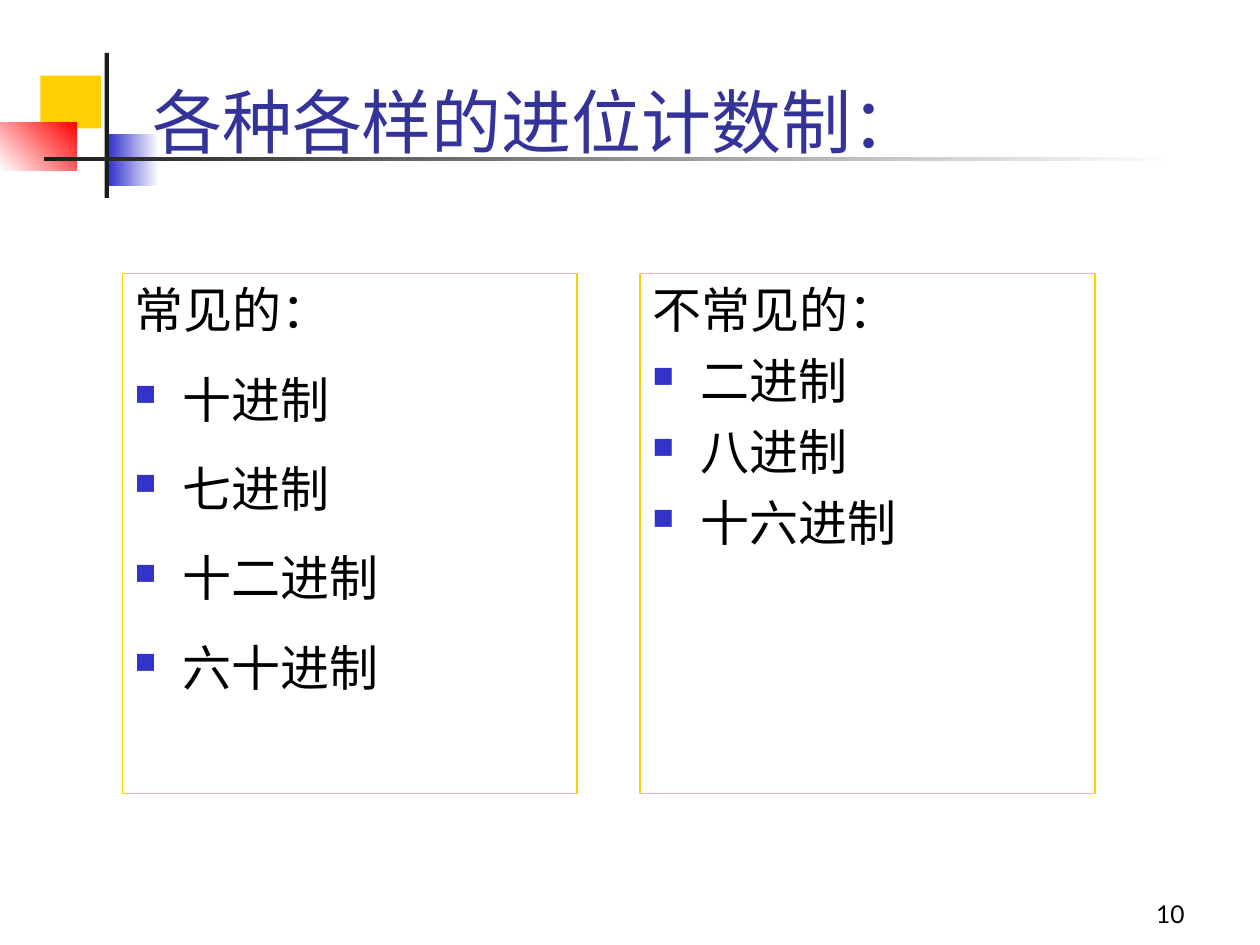
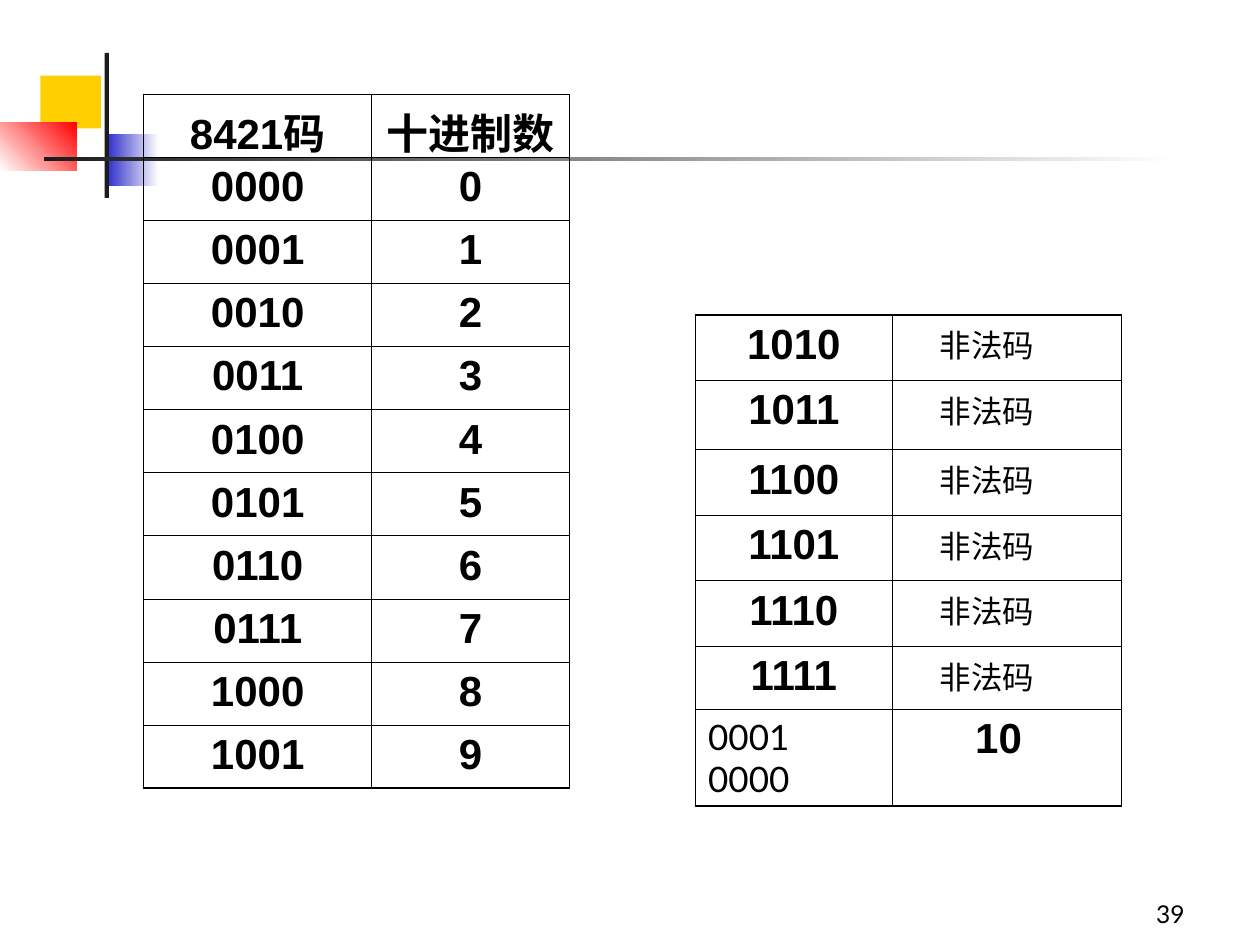
"""Build two slides on positional numeral systems and the 8421 code."""
from dataclasses import dataclass
from typing import NamedTuple, Optional

from lxml.etree import SubElement
from pptx import Presentation
from pptx.dml.color import RGBColor
from pptx.enum.shapes import MSO_SHAPE
from pptx.enum.text import MSO_ANCHOR, PP_ALIGN
from pptx.oxml.ns import qn
from pptx.util import Inches, Pt

CELL = 0.1
COLUMNS, ROWS = 100, 75


@dataclass(frozen=True)
class Theme:
    """Colours, fonts and sizes shared by the slides."""

    ink: str = "000000"
    title: str = "333399"
    gold: str = "FFCF01"
    blue: str = "3333CC"
    red: str = "FF0000"
    white: str = "FFFFFF"
    charcoal: str = "1C1C1C"
    body_font: str = "Lato"
    code_font: str = "Arial"
    title_size: float = 40
    list_size: float = 28
    code_size: float = 24
    pair_size: float = 20
    note_size: float = 18
    number_size: float = 14
    box_line: float = 0.75
    outer_line: float = 1.08
    inner_line: float = 0.45


THEME = Theme()


class Area(NamedTuple):
    """A place on the grid, in columns and rows."""

    left: float
    top: float
    width: float
    height: float


class Ornament(NamedTuple):
    """A rectangle of the header motif, plain or with a gradient."""

    area: Area
    color: str
    end_color: Optional[str] = None
    angle: float = 0


class TextStyle(NamedTuple):
    """Type and paragraph settings."""

    size: float
    font: str = THEME.body_font
    color: str = THEME.ink
    bold: bool = False
    align: PP_ALIGN = PP_ALIGN.LEFT
    space_before: float = 0
    indent: float = 0


class ListBox(NamedTuple):
    """A framed list with a heading."""

    area: Area
    heading: str
    items: tuple[str, ...]
    space_before: float


class CodeCell(NamedTuple):
    """The text of a table cell and its style."""

    text: str
    style: TextStyle


class CodeTable(NamedTuple):
    """A table placed on the grid."""

    left: float
    top: float
    columns: tuple[float, ...]
    heights: tuple[float, ...]
    rows: list[tuple[CodeCell, CodeCell]]


ORNAMENTS = (
    Ornament(Area(3.2, 6, 4.8, 4.2), THEME.gold),
    Ornament(Area(8.6, 10.6, 4, 4.2), THEME.blue, THEME.white),
    Ornament(Area(0, 9.7, 6.1, 3.8), THEME.white, THEME.red, 45),
    Ornament(Area(8.3, 4.2, 0.35, 11.5), THEME.charcoal),
    Ornament(Area(3.5, 12.45, 90, 0.35), THEME.charcoal, THEME.white),
)
TITLE_AREA = Area(11.1, 4.2, 79.7, 9.2)
NUMBER_AREA = Area(74.2, 69.2, 20.8, 5)
BOX_LEFT, BOX_TOP, BOX_STEP = 9.7, 21.7, 41.1
BOX_WIDTH, BOX_HEIGHT = 36.1, 41.3
LIST_INDENT = 3.8

TITLE = TextStyle(THEME.title_size, color=THEME.title)
NUMBER = TextStyle(THEME.number_size, align=PP_ALIGN.RIGHT)
CODE = TextStyle(THEME.code_size, THEME.code_font, bold=True, align=PP_ALIGN.CENTER, space_before=6)
TEN = CODE._replace(align=PP_ALIGN.LEFT, indent=5.6)
NOTE = TextStyle(THEME.note_size, indent=2.8)
PAIR = TextStyle(THEME.pair_size)

LISTS = (
    ("常见的：", ("十进制", "七进制", "十二进制", "六十进制"), 17.5),
    ("不常见的：", ("二进制", "八进制", "十六进制"), 7),
)


def grid(count: float) -> int:
    """Turn grid units into a length."""
    return Inches(count * CELL)


def place(area: Area) -> tuple[int, ...]:
    """Turn an area into left, top, width and height."""
    return tuple(grid(value) for value in area)


def rgb(color: str) -> RGBColor:
    """Read a hexadecimal colour."""
    return RGBColor.from_string(color)


def style_paragraph(paragraph, text: str, style: TextStyle) -> None:
    """Write text into a paragraph with a style."""
    paragraph.text = text
    paragraph.alignment = style.align
    paragraph.space_before = Pt(style.space_before)
    font = paragraph.font
    font.name, font.size, font.bold = style.font, Pt(style.size), style.bold
    font.color.rgb = rgb(style.color)
    if style.indent:
        paragraph._p.get_or_add_pPr().set("marL", str(grid(style.indent)))


def hang(paragraph, bullet: bool) -> None:
    """Give a paragraph a hanging indent and perhaps a square bullet."""
    properties = paragraph._p.get_or_add_pPr()
    properties.set("marL", str(grid(LIST_INDENT)))
    properties.set("indent", str(-grid(LIST_INDENT)))
    if bullet:
        color = SubElement(properties, qn("a:buClr"))
        SubElement(color, qn("a:srgbClr"), val=THEME.blue)
        SubElement(properties, qn("a:buSzPct"), val="60000")
        SubElement(properties, qn("a:buChar"), char="■")


def add_rectangle(slide, area: Area):
    """Add a rectangle without shadow, fill or line."""
    shape = slide.shapes.add_shape(MSO_SHAPE.RECTANGLE, *place(area))
    shape.shadow.inherit = False
    shape.fill.background()
    shape.line.fill.background()
    return shape


def draw_ornament(slide, ornament: Ornament) -> None:
    """Draw one rectangle of the header motif."""
    fill = add_rectangle(slide, ornament.area).fill
    if ornament.end_color is None:
        fill.solid()
        fill.fore_color.rgb = rgb(ornament.color)
        return
    fill.gradient()
    fill.gradient_angle = ornament.angle
    for stop, color in zip(fill.gradient_stops, (ornament.color, ornament.end_color)):
        stop.color.rgb = rgb(color)


def draw_text(slide, area: Area, text: str, style: TextStyle) -> None:
    """Draw a single line of text standing on the bottom of its area."""
    frame = slide.shapes.add_textbox(*place(area)).text_frame
    frame.word_wrap = True
    frame.vertical_anchor = MSO_ANCHOR.BOTTOM
    style_paragraph(frame.paragraphs[0], text, style)


def draw_list(slide, box: ListBox) -> None:
    """Draw a framed list."""
    shape = add_rectangle(slide, box.area)
    shape.line.color.rgb = rgb(THEME.gold)
    shape.line.width = Pt(THEME.box_line)
    frame = shape.text_frame
    frame.word_wrap = True
    frame.vertical_anchor = MSO_ANCHOR.TOP
    style = TextStyle(THEME.list_size, space_before=box.space_before)
    for index, text in enumerate((box.heading, *box.items)):
        paragraph = frame.add_paragraph() if index else frame.paragraphs[0]
        style_paragraph(paragraph, text, style)
        hang(paragraph, bullet=index > 0)


def draw_borders(cell, outer_edges: dict[str, bool]) -> None:
    """Line a cell, heavier on the outer edges of its table."""
    properties = cell._tc.get_or_add_tcPr()
    for edge, is_outer in outer_edges.items():
        width = THEME.outer_line if is_outer else THEME.inner_line
        line = SubElement(properties, qn(f"a:ln{edge}"), w=str(Pt(width)))
        fill = SubElement(line, qn("a:solidFill"))
        SubElement(fill, qn("a:srgbClr"), val=THEME.ink)


def draw_table(slide, spec: CodeTable) -> None:
    """Draw a code table."""
    area = Area(spec.left, spec.top, sum(spec.columns), sum(spec.heights))
    last_row, last_column = len(spec.rows) - 1, len(spec.columns) - 1
    table = slide.shapes.add_table(last_row + 1, last_column + 1, *place(area)).table
    table.first_row = table.horz_banding = False
    for column, width in zip(table.columns, spec.columns):
        column.width = grid(width)
    for row, height in zip(table.rows, spec.heights):
        row.height = grid(height)
    for row_index, row in enumerate(spec.rows):
        for column_index, content in enumerate(row):
            cell = table.cell(row_index, column_index)
            style_paragraph(cell.text_frame.paragraphs[0], content.text, content.style)
            draw_borders(cell, {
                "L": column_index == 0, "R": column_index == last_column,
                "T": row_index == 0, "B": row_index == last_row,
            })
            cell.fill.background()


def start_slide(presentation, number: int):
    """Add a slide with the header motif and its number."""
    slide = presentation.slides.add_slide(presentation.slide_layouts[6])
    for ornament in ORNAMENTS:
        draw_ornament(slide, ornament)
    draw_text(slide, NUMBER_AREA, str(number), NUMBER)
    return slide


def build_systems(presentation) -> None:
    """Build the slide listing numeral systems."""
    slide = start_slide(presentation, 10)
    draw_text(slide, TITLE_AREA, "各种各样的进位计数制：", TITLE)
    for index, (heading, items, space_before) in enumerate(LISTS):
        area = Area(BOX_LEFT + index * BOX_STEP, BOX_TOP, BOX_WIDTH, BOX_HEIGHT)
        draw_list(slide, ListBox(area, heading, items, space_before))


def build_codes(presentation) -> None:
    """Build the slide with valid and invalid 8421 codes."""
    slide = start_slide(presentation, 39)
    valid = [(CodeCell("8421码", CODE), CodeCell("十进制数", CODE))]
    valid += [(CodeCell(f"{n:04b}", CODE), CodeCell(str(n), CODE)) for n in range(10)]
    invalid = [(CodeCell(f"{n:04b}", CODE), CodeCell("非法码", NOTE)) for n in range(10, 16)]
    invalid.append((CodeCell("0001 0000", PAIR), CodeCell("10", TEN)))
    draw_table(slide, CodeTable(11.4, 7.5, (18.1, 15.7), (5,) * len(valid), valid))
    heights = (5.2, 5.5, 5.2, 5.2, 5.2, 5, 5)
    draw_table(slide, CodeTable(55.2, 25, (15.6, 18.2), heights, invalid))


def main() -> None:
    """Build and save the presentation."""
    presentation = Presentation()
    presentation.slide_width, presentation.slide_height = grid(COLUMNS), grid(ROWS)
    build_systems(presentation)
    build_codes(presentation)
    presentation.save("out.pptx")


if __name__ == "__main__":
    main()
